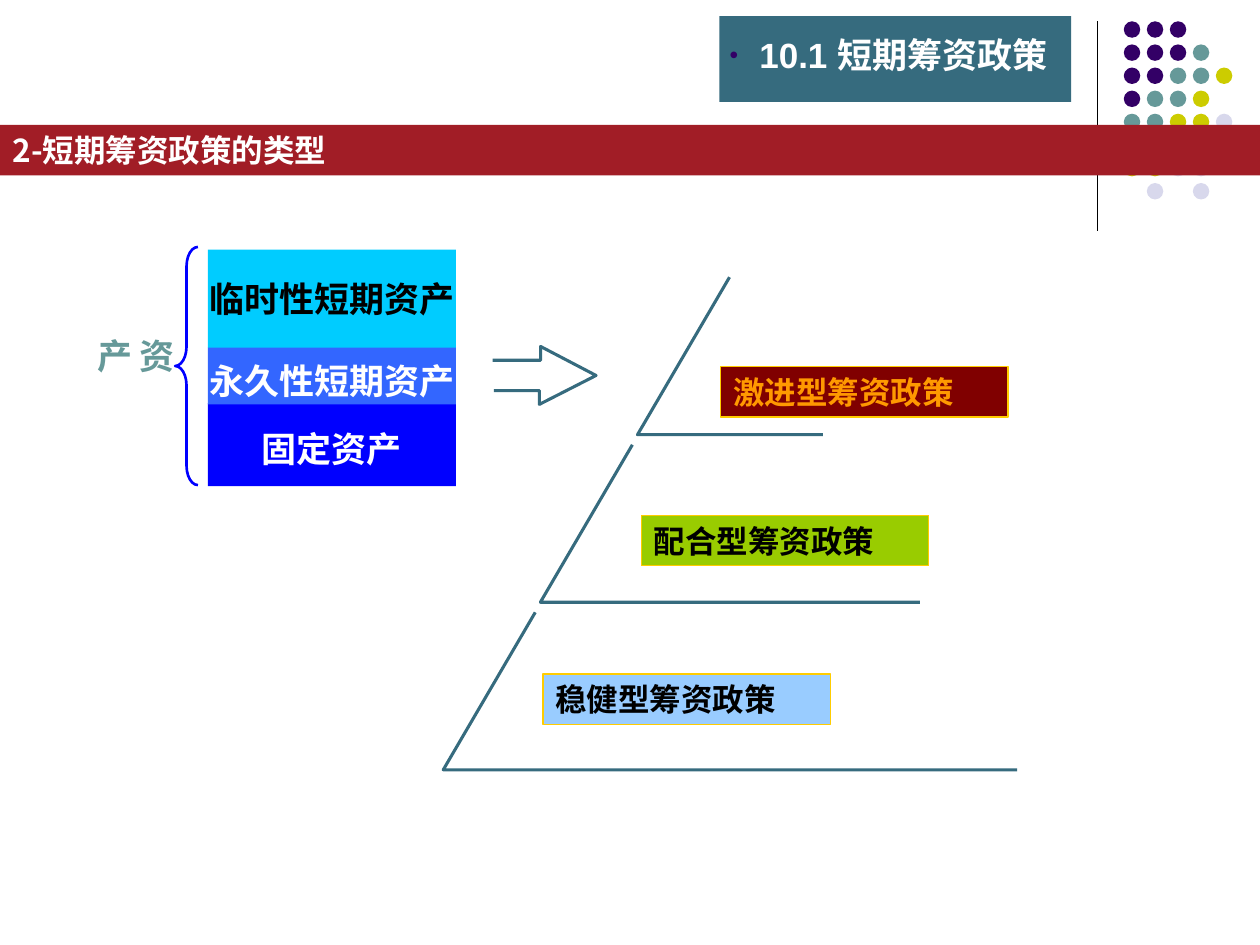
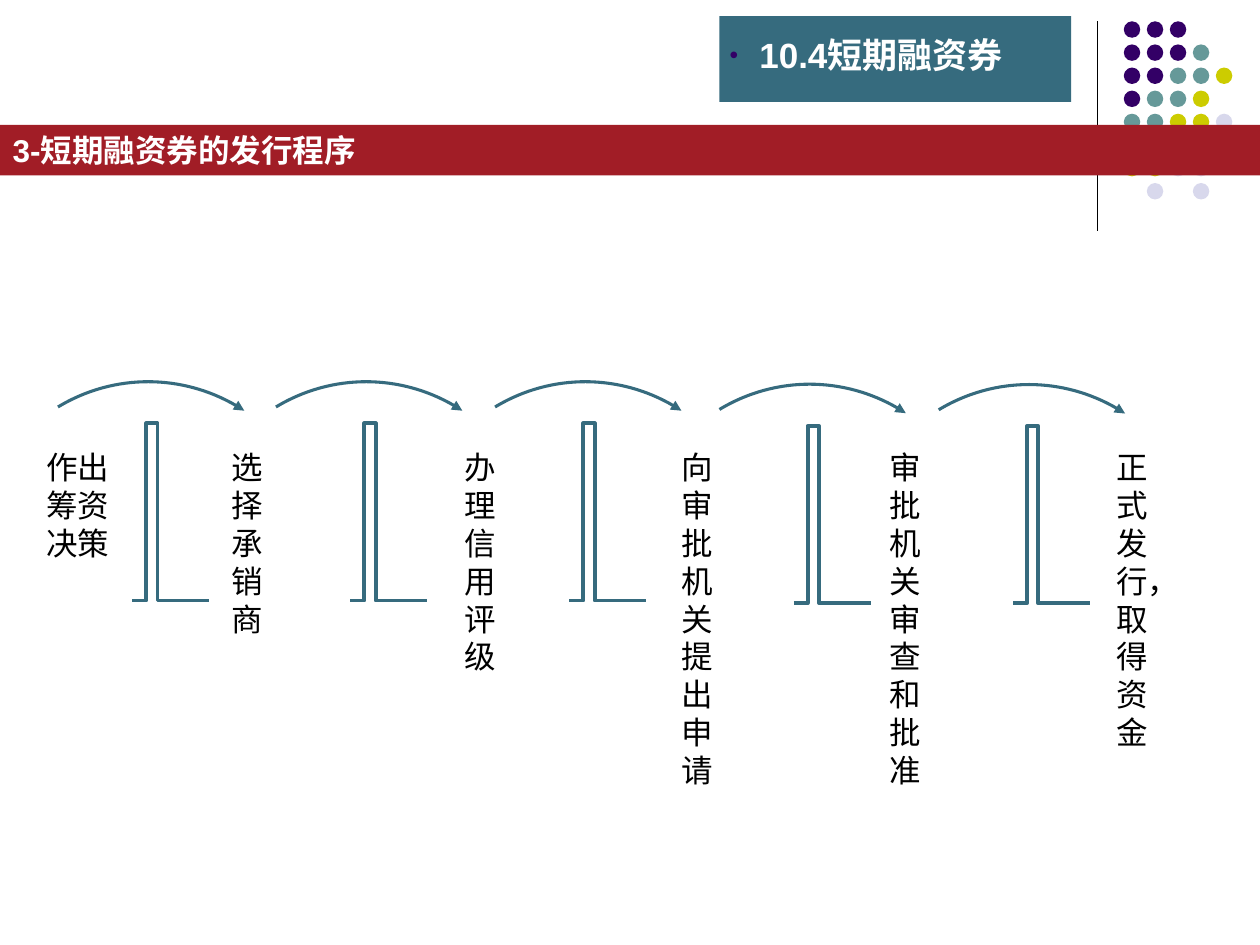
import dataclasses
import typing

import lxml.etree
import pptx
import pptx.dml.color
import pptx.enum.shapes
import pptx.enum.text
import pptx.oxml.ns
import pptx.util

Pt = pptx.util.Pt
qn = pptx.oxml.ns.qn
Preset = pptx.enum.shapes.MSO_SHAPE
Align = pptx.enum.text.PP_ALIGN
Anchor = pptx.enum.text.MSO_ANCHOR
Point = tuple[float, float]


@dataclasses.dataclass(frozen=True)
class Theme:
    teal: str = "366B7E"
    band: str = "A11D26"
    white: str = "FFFFFF"
    black: str = "000000"
    purple: str = "330066"
    sage: str = "669999"
    olive: str = "CCCC00"
    lavender: str = "D8D8EC"
    gold: str = "FFCC00"
    orange: str = "FF9900"
    brace: str = "0000FF"
    latin: str = "Arial"
    serif: str = "Times New Roman"
    chinese: str = "Noto Sans CJK SC"
    large: float = 20
    normal: float = 18
    hairline: float = 0.75
    thin: float = 1.5
    medium: float = 1.75
    thick: float = 2.25


THEME = Theme()


class Box(typing.NamedTuple):
    left: float
    top: float
    width: float
    height: float


class Style(typing.NamedTuple):
    size: float
    color: str
    bold: bool = True
    font: str = THEME.latin


class Asset(typing.NamedTuple):
    text: str
    top: float
    height: float
    fill: str
    color: str
    spacing: float


class Policy(typing.NamedTuple):
    text: str
    left: float
    top: float
    fill: str
    color: str


class Stage(typing.NamedTuple):
    text: str
    left: float
    width: float
    lines: int


class Divider(typing.NamedTuple):
    left: float
    drop: float


ASSETS = [
    Asset("临时性短期资产", 142.6, 56.2, "00CCFF", THEME.black, 1.0),
    Asset("固定资产", 230.4, 47.5, "0000FF", THEME.white, 1.2),
    Asset("永久性短期资产", 198.7, 32.4, "3366FF", THEME.white, 1.2),
]
POLICIES = [
    Policy("稳健型筹资政策", 310.3, 385.2, "99CCFF", THEME.black),
    Policy("配合型筹资政策", 366.5, 294.5, "99CC00", THEME.black),
    Policy("激进型筹资政策", 411.8, 209.5, "800000", THEME.orange),
]
STAGES = [
    Stage("作出筹资决策", 19.4, 51, 3),
    Stage("选择承销商", 125.3, 41, 5),
    Stage("办理信用评级", 258.5, 41, 6),
    Stage("向审批机关提出申请", 382.3, 41, 9),
    Stage("审批机关审查和批准", 501.1, 41, 9),
    Stage("正式发行，取得资金", 630.7, 41, 9),
]
DIVIDERS = [
    Divider(75.6, 0), Divider(200.2, 0), Divider(325.4, 0),
    Divider(453.6, 1.4), Divider(578.9, 1.6),
]
DOT_ROWS = ["PPP", "PPPT", "PPTTY", "PTTY", "TTYYL", "", "YYLL", " L L"]
DOT_COLORS = {"P": THEME.purple, "T": THEME.sage, "Y": THEME.olive, "L": THEME.lavender}


def rgb(color: str) -> pptx.dml.color.RGBColor:
    return pptx.dml.color.RGBColor.from_string(color)


def paint(shape, fill: str | None, line: str | None = None, width: float = THEME.hairline) -> None:
    """Set fill and outline; None means none."""
    if fill:
        shape.fill.solid()
        shape.fill.fore_color.rgb = rgb(fill)
    else:
        shape.fill.background()
    if line:
        shape.line.color.rgb = rgb(line)
        shape.line.width = Pt(width)
    else:
        shape.line.fill.background()


def place(shape, box: Box) -> None:
    shape.left, shape.top, shape.width, shape.height = map(Pt, box)


def write(shape, text: str, style: Style, align=Align.LEFT, anchor=Anchor.MIDDLE,
          insets: Box = Box(7.2, 3.6, 7.2, 3.6), wrap: bool = True):
    """Fill a shape with one paragraph and return that paragraph."""
    frame = shape.text_frame
    frame.text = text
    frame.word_wrap = wrap
    frame.auto_size = pptx.enum.text.MSO_AUTO_SIZE.NONE
    frame.vertical_anchor = anchor
    frame.margin_left, frame.margin_top, frame.margin_right, frame.margin_bottom = map(Pt, insets)
    paragraph = frame.paragraphs[0]
    paragraph.alignment = align
    paragraph.space_before = Pt(0)
    font = paragraph.font
    font.name, font.size, font.bold = style.font, Pt(style.size), style.bold
    font.color.rgb = rgb(style.color)
    properties = paragraph._p.get_or_add_pPr().find(qn("a:defRPr"))
    east_asian = lxml.etree.Element(qn("a:ea"), typeface=THEME.chinese)
    properties.find(qn("a:latin")).addnext(east_asian)
    return paragraph


def add_preset(slide, preset, box: Box, fill: str | None, line: str | None = None,
               width: float = THEME.hairline):
    shape = slide.shapes.add_shape(preset, *map(Pt, box))
    shape.shadow.inherit = False
    paint(shape, fill, line, width)
    return shape


def add_outline(slide, points: list[Point], width: float):
    """Draw an open, unfilled teal line through the points."""
    (x, y), *rest = points
    builder = slide.shapes.build_freeform(Pt(x), Pt(y))
    builder.add_line_segments([(Pt(px), Pt(py)) for px, py in rest], close=False)
    shape = builder.convert_to_shape()
    shape.shadow.inherit = False
    paint(shape, None, THEME.teal, width)
    return shape


def add_curved_arrow(slide, points: list[Point]) -> None:
    """Draw a Bezier curve from its four points, with an arrowhead at the end."""
    arrow = add_outline(slide, points, THEME.medium)
    segments = arrow.element.xpath(".//a:lnTo")
    curve = lxml.etree.Element(qn("a:cubicBezTo"))
    segments[0].addprevious(curve)
    for segment in segments:
        curve.append(segment[0])
        segment.getparent().remove(segment)
    line = arrow.element.spPr.find(qn("a:ln"))
    lxml.etree.SubElement(line, qn("a:tailEnd"), type="triangle")


def add_bullet(paragraph) -> None:
    properties = paragraph._p.get_or_add_pPr()
    properties.set("marL", str(Pt(17)))
    properties.set("indent", str(-Pt(17)))
    color = lxml.etree.Element(qn("a:buClr"))
    lxml.etree.SubElement(color, qn("a:srgbClr"), val=THEME.purple)
    size = lxml.etree.Element(qn("a:buSzPct"), val="70000")
    font = lxml.etree.Element(qn("a:buFont"), typeface=THEME.latin)
    mark = lxml.etree.Element(qn("a:buChar"), char="•")
    run_defaults = properties.find(qn("a:defRPr"))
    for part in (color, size, font, mark):
        run_defaults.addprevious(part)


def decorate_layout(layout, slide) -> None:
    """Build the shared rule, dots and header panel, and move them to the layout."""
    rule = slide.shapes.add_connector(
        pptx.enum.shapes.MSO_CONNECTOR.STRAIGHT, Pt(627.1), Pt(12.2), Pt(627.1), Pt(131.8))
    rule.line.color.rgb = rgb(THEME.black)
    rule.line.width = Pt(THEME.hairline)
    lxml.etree.SubElement(rule.element.spPr, qn("a:effectLst"))
    shared = [rule]
    for row, codes in enumerate(DOT_ROWS):
        for column, code in enumerate(codes):
            if code in DOT_COLORS:
                dot = Box(642.2 + 13.15 * column, 12.2 + 13.2 * row, 9.4, 9.4)
                shared.append(add_preset(slide, Preset.OVAL, dot, DOT_COLORS[code]))
    shared.append(add_preset(slide, Preset.RECTANGLE, Box(411.1, 9.2, 201, 49), THEME.teal))
    for number, shape in enumerate(shared, start=100):
        shape.element.xpath(".//p:cNvPr")[0].set("id", str(number))
        layout.shapes.element.append(shape.element)


def add_headings(slide, chapter: str, section: str, section_font: str) -> None:
    band, header = slide.shapes.title, slide.placeholders[1]
    place(band, Box(0, 71.4, 720, 28.8))
    paint(band, THEME.band)
    write(band, section, Style(THEME.normal, THEME.white, font=section_font))
    place(header, Box(416.9, 19.4, 198, 23.8))
    add_bullet(write(header, chapter, Style(THEME.large, THEME.white), insets=Box(0, 0, 0, 0)))


def build_policy_types(slide) -> None:
    add_headings(slide, "10.1 短期筹资政策", "2-短期筹资政策的类型", THEME.chinese)

    # Asset stack with its brace and label
    for asset in ASSETS:
        block = add_preset(slide, Preset.RECTANGLE,
                           Box(118.8, asset.top, 141.8, asset.height), asset.fill)
        style = Style(THEME.large, asset.color, font=THEME.serif)
        write(block, asset.text, style, Align.CENTER, wrap=False).line_spacing = asset.spacing
    label = slide.shapes.add_textbox(*map(Pt, Box(66.2, 186.5, 38.2, 51.8)))
    write(label, "资产", Style(THEME.large, THEME.sage, font=THEME.serif), Align.CENTER,
          Anchor.TOP, Box(3.6, 7.2, 3.6, 7.2))
    label.element.xpath(".//a:bodyPr")[0].set("vert", "eaVert")
    brace = add_preset(slide, Preset.LEFT_BRACE, Box(100.1, 141.1, 13, 136.1),
                       None, THEME.brace, THEME.thin)
    brace.adjustments[0] = 0.85

    # Open arrow towards the steps
    add_outline(slide, [(281.5, 205.9), (308.9, 205.9), (308.9, 198), (340.6, 214.6),
                        (308.2, 231.1), (308.2, 223.2), (282.2, 223.2)], THEME.medium)

    # Steps widening downwards
    for step in range(3):
        left, right = 364.3 - 55.5 * step, 470.2 + 55.5 * step
        top = 158.4 + 95.75 * step
        add_outline(slide, [(left + 52.6, top), (left, top + 90), (right, top + 90)],
                    THEME.medium)

    # Policy labels
    for policy in POLICIES:
        tag = add_preset(slide, Preset.RECTANGLE, Box(policy.left, policy.top, 164.2, 28.8),
                         policy.fill, THEME.gold)
        write(tag, policy.text, Style(THEME.normal, policy.color))


def build_issue_procedure(slide) -> None:
    add_headings(slide, "10.4短期融资券", "3-短期融资券的发行程序", THEME.latin)

    # Dividers, each with an arrow leading over it
    for left, drop in DIVIDERS:
        top, foot = 242 + drop, 343.2 + drop
        add_outline(slide, [(left, foot), (left + 7.9, foot), (left + 7.9, top),
                            (left + 14.4, top), (left + 14.4, foot), (left + 43.9, foot)],
                    THEME.thick)
        add_curved_arrow(slide, [(left - 42.5, 232.6 + drop), (left - 10, 213 + drop),
                                 (left + 33, 214 + drop), (left + 64, 234.7 + drop)])

    # Stages, one narrow column each
    line_height = 21.6
    for stage in STAGES:
        column = slide.shapes.add_textbox(
            *map(Pt, Box(stage.left, 252.7, stage.width, stage.lines * line_height + 7.2)))
        paragraph = write(column, stage.text, Style(THEME.normal, THEME.black, bold=False),
                          anchor=Anchor.TOP)
        paragraph.line_spacing = Pt(line_height)


def main() -> None:
    deck = pptx.Presentation()
    deck.slide_width, deck.slide_height = Pt(720), Pt(540)
    layout = deck.slide_layouts[1]
    policy_types, issue_procedure = (deck.slides.add_slide(layout) for _ in range(2))
    decorate_layout(layout, policy_types)
    build_policy_types(policy_types)
    build_issue_procedure(issue_procedure)
    deck.save("out.pptx")


if __name__ == "__main__":
    main()
